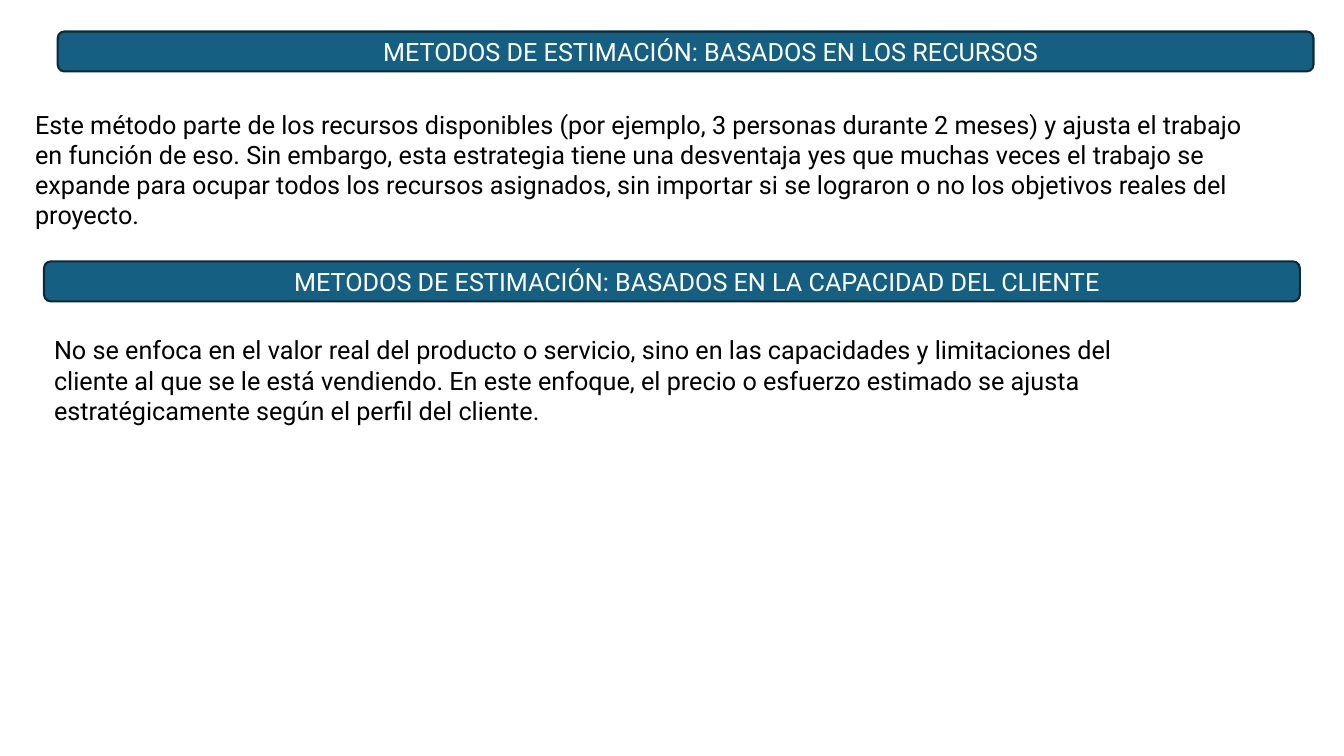
import pptx
import pptx.util
import pptx.dml.color
import pptx.enum.shapes
import pptx.enum.text

PX = 9525
FONT = "Roboto"
COLORS = {"banner": "156082", "border": "092A39", "light": "FFFFFF", "dark": "000000"}

METHODS = [
    ("METODOS DE ESTIMACIÓN: BASADOS EN LOS RECURSOS",
     (55, 30, 1196, 38),
     "Este método parte de los recursos disponibles (por ejemplo, 3 personas durante 2 meses) "
     "y ajusta el trabajo en función de eso. Sin embargo, esta estrategia tiene una desventaja "
     "yes que muchas veces el trabajo se expande para ocupar todos los recursos asignados, "
     "sin importar si se lograron o no los objetivos reales del proyecto.",
     (24, 99, 1178, 97)),
    ("METODOS DE ESTIMACIÓN: BASADOS EN LA CAPACIDAD DEL CLIENTE",
     (42, 249, 1196, 38),
     "No se enfoca en el valor real del producto o servicio, sino en las capacidades y "
     "limitaciones del cliente al que se le está vendiendo. En este enfoque, el precio o "
     "esfuerzo estimado se ajusta estratégicamente según el perfil del cliente.",
     (42, 314, 1088, 97)),
]


def rgb(name):
    return pptx.dml.color.RGBColor.from_string(COLORS[name])


def to_emu(box):
    return [length * PX for length in box]


def write(tf, text, color):
    tf.word_wrap = True
    tf.text = text
    p = tf.paragraphs[0]
    r = p.runs[0]
    r.font.name = FONT
    r.font.size = pptx.util.Pt(18)
    r.font.color.rgb = rgb(color)
    return p


def add_banner(s, box, text):
    sp = s.shapes.add_shape(pptx.enum.shapes.MSO_SHAPE.ROUNDED_RECTANGLE, *to_emu(box))
    sp.shadow.inherit = False
    sp.fill.solid()
    sp.fill.fore_color.rgb = rgb("banner")
    sp.line.color.rgb = rgb("border")
    sp.line.width = pptx.util.Pt(1.5)
    tf = sp.text_frame
    tf.vertical_anchor = pptx.enum.text.MSO_ANCHOR.MIDDLE
    p = write(tf, text, "light")
    p.alignment = pptx.enum.text.PP_ALIGN.CENTER
    p.level = 1
    pPr = p._p.get_or_add_pPr()
    pPr.set("marL", str(48 * PX))
    pPr.set("indent", "0")


def add_description(s, box, text):
    tf = s.shapes.add_textbox(*to_emu(box)).text_frame
    write(tf, text, "dark")
    tf.auto_size = pptx.enum.text.MSO_AUTO_SIZE.SHAPE_TO_FIT_TEXT


def add_methods_slide(prs):
    s = prs.slides.add_slide(prs.slide_layouts.get_by_name("Blank"))
    for heading, heading_box, description, description_box in METHODS:
        add_description(s, description_box, description)
        add_banner(s, heading_box, heading)


def main():
    prs = pptx.Presentation()
    prs.slide_width = 1280 * PX
    prs.slide_height = 720 * PX
    add_methods_slide(prs)
    prs.save("out.pptx")


if __name__ == "__main__":
    main()
